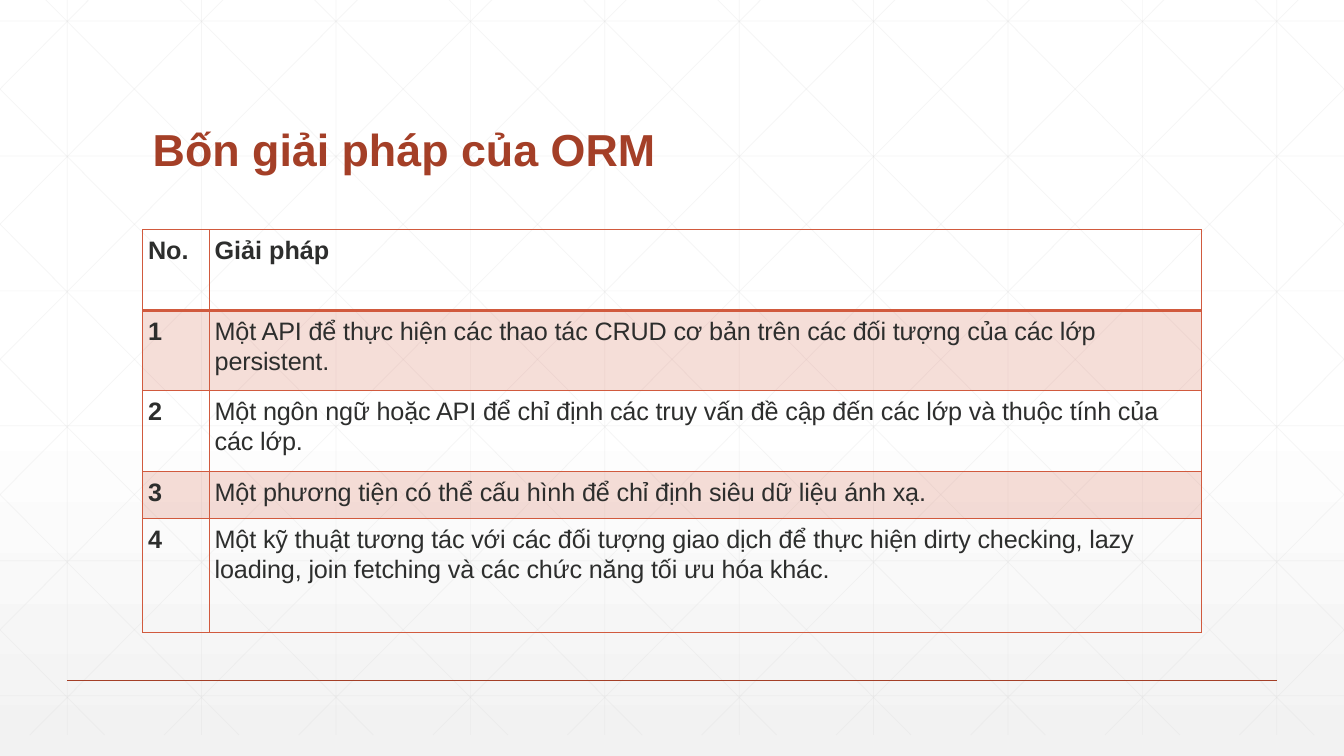
from lxml.etree import SubElement
from pptx import Presentation
from pptx.dml.color import RGBColor
from pptx.enum.shapes import MSO_CONNECTOR as Connector
from pptx.enum.text import MSO_ANCHOR as Anchor
from pptx.oxml import parse_xml
from pptx.oxml.ns import nsdecls, qn
from pptx.util import Cm, Pt

COLORS = {
    "white": "FFFFFF",
    "mist": "F2F2F2",
    "grid": "D9D9D9",
    "rust": "A43F27",
    "coral": "D15A3E",
    "ink": "2D2E2D",
}
WIDTH, HEIGHT = 33.87, 19.05
STEP = WIDTH / 10
GRID_TOP, GRID_BOTTOM = -0.53, 18.52
DIAGONAL_START, DIAGONAL_RUN = 0.63, 18.94
COLUMNS = (1.68, 24.99)
ROWS = (
    ("No.", "Giải pháp", 2.03),
    ("1", "Một API để thực hiện các thao tác CRUD cơ bản trên các đối tượng "
          "của các lớp persistent.", 2.03),
    ("2", "Một ngôn ngữ hoặc API để chỉ định các truy vấn đề cập đến các lớp "
          "và thuộc tính của các lớp.", 2.03),
    ("3", "Một phương tiện có thể cấu hình để chỉ định siêu dữ liệu ánh xạ.", 1.19),
    ("4", "Một kỹ thuật tương tác với các đối tượng giao dịch để thực hiện dirty "
          "checking, lazy loading, join fetching và các chức năng tối ưu hóa khác.", 2.87),
)


def rgb(name):
    """Return the named colour."""
    return RGBColor.from_string(COLORS[name])


def set_opacity(element, percent):
    """Make the colours inside an element partly transparent."""
    for color in element.iter(qn("a:srgbClr")):
        SubElement(color, qn("a:alpha"), val=str(percent * 1000))


def write_text(frame, text, *, size, color, bold=False, line=1.0, after=0, tracking=0):
    """Put one formatted paragraph into a text frame."""
    frame.word_wrap = True
    para = frame.paragraphs[0]
    para.line_spacing = line
    para.space_after = Pt(after)
    span = para.add_run()
    span.text = text
    span.font.name = "Arial"
    span.font.size = Pt(size)
    span.font.bold = bold
    span.font.color.rgb = rgb(color)
    if tracking:
        span.font._element.set("spc", str(round(tracking * 100)))


def add_line(page, start, end, color, width, opacity=100):
    """Draw a straight line between two points in centimetres."""
    points = [Cm(value) for value in (*start, *end)]
    line = page.shapes.add_connector(Connector.STRAIGHT, *points)
    line.line.color.rgb = rgb(color)
    line.line.width = Pt(width)
    properties = line._element.spPr
    if opacity < 100:
        set_opacity(properties, opacity)
    SubElement(properties, qn("a:effectLst"))


def paint_background(page):
    """Fade the page from white to light grey at the foot."""
    fill = page.background.fill
    fill.gradient()
    fill.gradient_angle = 270
    for stop, color, position in zip(fill.gradient_stops, ("white", "mist"), (0.53, 1)):
        stop.color.rgb = rgb(color)
        stop.position = position


def diagonal(index):
    """Return the ends of a falling diagonal, cut at the page sides."""
    left = DIAGONAL_START + index * STEP
    slope = (GRID_BOTTOM - GRID_TOP) / DIAGONAL_RUN
    ends = (max(left, 0), min(left + DIAGONAL_RUN, WIDTH))
    return [(x, GRID_TOP + (x - left) * slope) for x in ends]


def add_grid(page):
    """Draw the faint upright, level and diagonal grid lines."""
    lines = []
    for index in range(10):
        x = (index + 0.5) * STEP
        lines.append([(x, GRID_TOP), (x, GRID_BOTTOM)])
    for index in range(6):
        y = 0.53 + index * 3.4
        lines.append([(0, y), (WIDTH, y)])
    for index in range(-5, 10):
        ends = diagonal(index)
        lines.append(ends)
        lines.append([(WIDTH - x, y) for x, y in ends])
    for start, end in lines:
        add_line(page, start, end, "grid", 0.5, opacity=25)


def add_title(page, text):
    """Add the slide title."""
    box = page.shapes.add_textbox(Cm(3.6), Cm(1.4), Cm(26.67), Cm(3.17))
    box.text_frame.vertical_anchor = Anchor.BOTTOM
    write_text(box.text_frame, text, size=32, color="rust", bold=True, line=0.9)


def set_borders(cell, top, bottom):
    """Outline a cell with the given top and bottom widths in points."""
    sides = {"lnL": 1, "lnR": 1, "lnT": top, "lnB": bottom}
    for index, (side, width) in enumerate(sides.items()):
        border = parse_xml(
            f'<a:{side} {nsdecls("a")} w="{Pt(width)}"><a:solidFill>'
            f'<a:srgbClr val="{COLORS["coral"]}"/></a:solidFill></a:{side}>'
        )
        cell._tc.get_or_add_tcPr().insert(index, border)


def fill_cell(cell, text, row, column):
    """Format one table cell and write its text."""
    cell.margin_left = cell.margin_right = Cm(0.13)
    cell.margin_top = cell.margin_bottom = Cm(0.13)
    if row % 2:
        cell.fill.solid()
        cell.fill.fore_color.rgb = rgb("coral")
        set_opacity(cell._tc, 20)
    else:
        cell.fill.background()
    set_borders(cell, top=2 if row == 1 else 1, bottom=2 if row == 0 else 1)
    heading = row == 0 or column == 0
    write_text(cell.text_frame, text, size=18, color="ink", bold=heading, line=1.07,
               after=11.2 if heading else 8, tracking=0 if heading else -0.1)


def add_solutions(page):
    """Add the table of solutions."""
    height = sum(row[-1] for row in ROWS)
    frame = page.shapes.add_table(len(ROWS), len(COLUMNS), Cm(3.6), Cm(5.79),
                                  Cm(sum(COLUMNS)), Cm(height))
    table = frame.table
    table.first_row = table.horz_banding = False
    for column, width in zip(table.columns, COLUMNS):
        column.width = Cm(width)
    for row, (*texts, height) in enumerate(ROWS):
        table.rows[row].height = Cm(height)
        for column, text in enumerate(texts):
            fill_cell(table.cell(row, column), text, row, column)


def main():
    """Build and save the deck."""
    deck = Presentation()
    deck.slide_width, deck.slide_height = Cm(WIDTH), Cm(HEIGHT)
    page = deck.slides.add_slide(deck.slide_layouts[6])
    paint_background(page)
    add_grid(page)
    add_line(page, (1.69, 17.15), (32.17, 17.15), "rust", 1)
    add_title(page, "Bốn giải pháp của ORM")
    add_solutions(page)
    deck.save("out.pptx")


if __name__ == "__main__":
    main()
